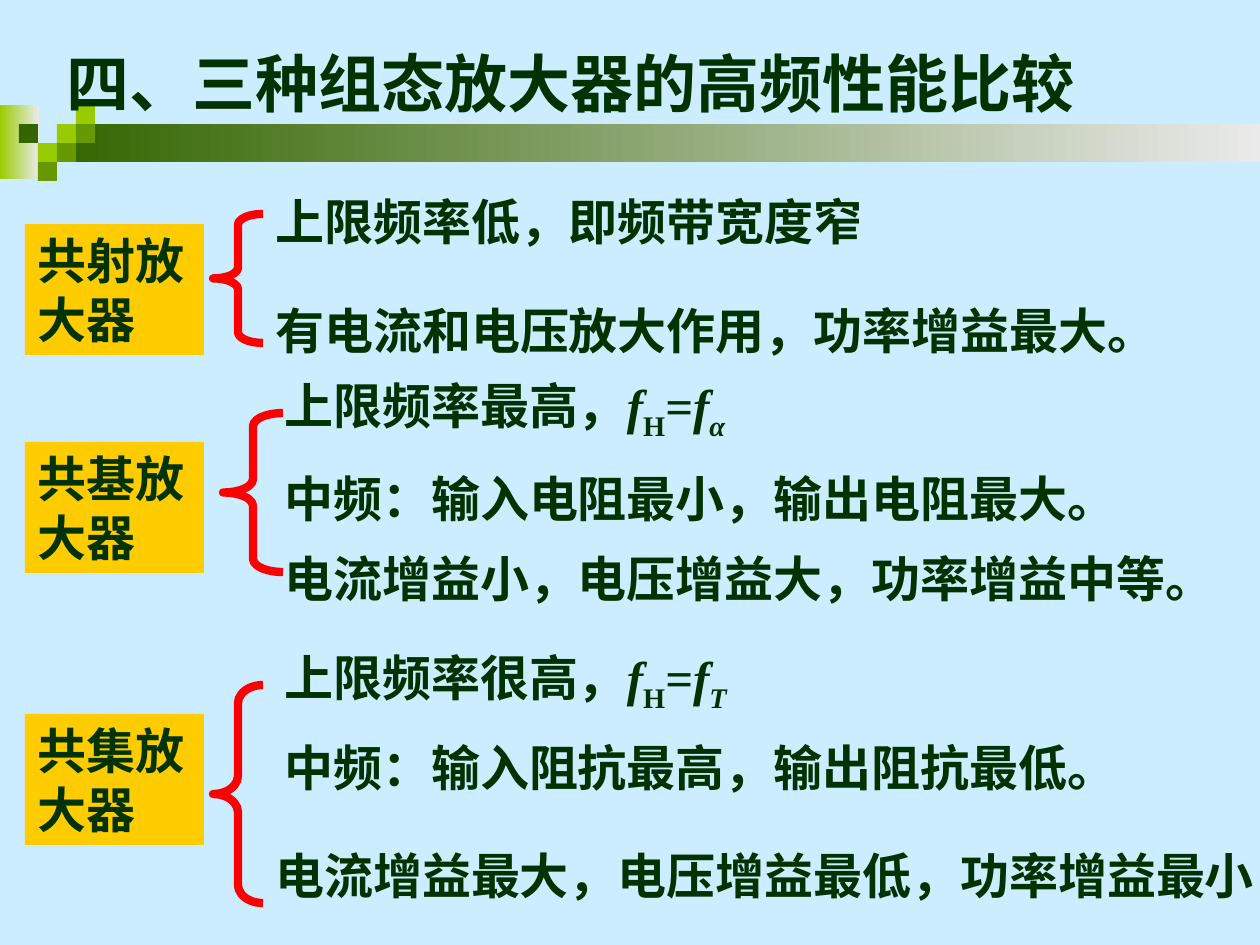
"""Build a slide comparing the high-frequency behaviour of three amplifier configurations."""
from dataclasses import dataclass

import pptx
import pptx.dml.color
import pptx.enum.lang
import pptx.enum.shapes
import pptx.enum.text
import pptx.util

SCALE = 914400 / 126
SHAPES = pptx.enum.shapes.MSO_SHAPE


@dataclass(frozen=True)
class Theme:
    background: str = "CCECFF"
    ink: str = "003300"
    label: str = "FFCC00"
    brace: str = "FF0000"
    lime: str = "99CC00"
    leaf: str = "669900"
    forest: str = "336600"
    mist: str = "EAEAEA"
    title_size: int = 36
    body_size: int = 28
    brace_width: float = 4.75
    body_font: str = "Times New Roman"
    label_font: str = "Arial"


def px(length):
    return pptx.util.Emu(round(length * SCALE))


def rgb(value):
    return pptx.dml.color.RGBColor.from_string(value)


def add_run(paragraph, text, *, font, size, color, italic=False, baseline=0):
    run = paragraph.add_run()
    run.text = text
    run.font.name = font
    run.font.size = pptx.util.Pt(size)
    run.font.bold = True
    run.font.italic = italic
    run.font.color.rgb = rgb(color)
    run.font.language_id = pptx.enum.lang.MSO_LANGUAGE_ID.SIMPLIFIED_CHINESE
    if baseline:
        run._r.get_or_add_rPr().set("baseline", str(baseline * 1000))


class SlideBuilder:
    def __init__(self, slide, theme):
        self.slide = slide
        self.theme = theme
        slide.background.fill.solid()
        slide.background.fill.fore_color.rgb = rgb(theme.background)

    def shape(self, kind, left, top, width, height):
        shape = self.slide.shapes.add_shape(kind, px(left), px(top), px(width), px(height))
        shape.shadow.inherit = False
        return shape

    def block(self, left, top, width, height, color):
        block = self.shape(SHAPES.RECTANGLE, left, top, width, height)
        block.fill.solid()
        block.fill.fore_color.rgb = rgb(color)
        block.line.fill.background()
        return block

    def fade(self, left, top, width, height, color):
        band = self.block(left, top, width, height, color)
        band.fill.gradient()
        band.fill.gradient_angle = 0
        for stop, position, shade in zip(band.fill.gradient_stops, (0, 1), (color, self.theme.mist)):
            stop.position = position
            stop.color.rgb = rgb(shade)

    def set_text(self, holder, runs, font, size):
        frame = holder.text_frame
        frame.word_wrap = True
        frame.vertical_anchor = pptx.enum.text.MSO_ANCHOR.MIDDLE
        paragraph = frame.paragraphs[0]
        paragraph.alignment = pptx.enum.text.PP_ALIGN.LEFT
        for text, style in runs:
            add_run(paragraph, text, font=font, size=size, color=self.theme.ink, **style)

    def text(self, left, top, width, height, runs, size):
        holder = self.slide.shapes.add_textbox(px(left), px(top), px(width), px(height))
        self.set_text(holder, runs, self.theme.body_font, size)

    def label(self, top, name):
        holder = self.block(25, top, 179, 131, self.theme.label)
        self.set_text(holder, plain(name), self.theme.label_font, self.theme.body_size)

    def brace(self, left, top, width, height):
        brace = self.shape(SHAPES.LEFT_BRACE, left, top, width, height)
        brace.adjustments[0] = height / 12 / width
        brace.fill.background()
        brace.line.color.rgb = rgb(self.theme.brace)
        brace.line.width = pptx.util.Pt(self.theme.brace_width)


def plain(text):
    return [(text, {})]


def cutoff(text, subscript):
    return [
        (text, {}),
        ("f", {"italic": True}),
        ("H", {"baseline": -25}),
        ("=", {}),
        ("f", {"italic": True}),
        (subscript, {"italic": True, "baseline": -25}),
    ]


def main():
    theme = Theme()
    deck = pptx.Presentation()
    deck.slide_width, deck.slide_height = px(1260), px(945)
    page = SlideBuilder(deck.slides.add_slide(deck.slide_layouts[6]), theme)

    page.fade(0, 105, 39, 74, theme.lime)
    page.fade(57, 124, 1203, 38, theme.forest)
    tile = 19
    mosaic = [
        (1, 1, theme.lime), (2, 0, theme.lime), (2, 1, theme.leaf), (0, 2, theme.lime),
        (-1, 1, theme.forest), (1, 2, theme.leaf), (0, 3, theme.leaf),
    ]
    for column, row, color in mosaic:
        page.block(38 + column * tile, 105 + row * tile, tile, tile, color)

    page.text(54, 27, 1124, 110, plain("四、三种组态放大器的高频性能比较"), theme.title_size)

    amplifiers = [
        ("共射放大器", 224, (213, 214, 50, 129), [
            (263, 185, 625, 72, plain("上限频率低，即频带宽度窄")),
            (263, 294, 912, 72, plain("有电流和电压放大作用，功率增益最大。")),
        ]),
        ("共基放大器", 442, (223, 413, 60, 159), [
            (272, 369, 625, 79, cutoff("上限频率最高，", "α")),
            (272, 462, 912, 72, plain("中频：输入电阻最小，输出电阻最大。")),
            (272, 542, 988, 72, plain("电流增益小，电压增益大，功率增益中等。")),
        ]),
        ("共集放大器", 714, (213, 685, 50, 218), [
            (272, 641, 625, 79, cutoff("上限频率很高，", "T")),
            (272, 731, 912, 72, plain("中频：输入阻抗最高，输出阻抗最低。")),
            (263, 839, 1022, 72, plain("电流增益最大，电压增益最低，功率增益最小")),
        ]),
    ]
    for name, label_top, brace_box, features in amplifiers:
        page.label(label_top, name)
        page.brace(*brace_box)
        for *feature_box, runs in features:
            page.text(*feature_box, runs, theme.body_size)

    deck.save("out.pptx")


if __name__ == "__main__":
    main()
